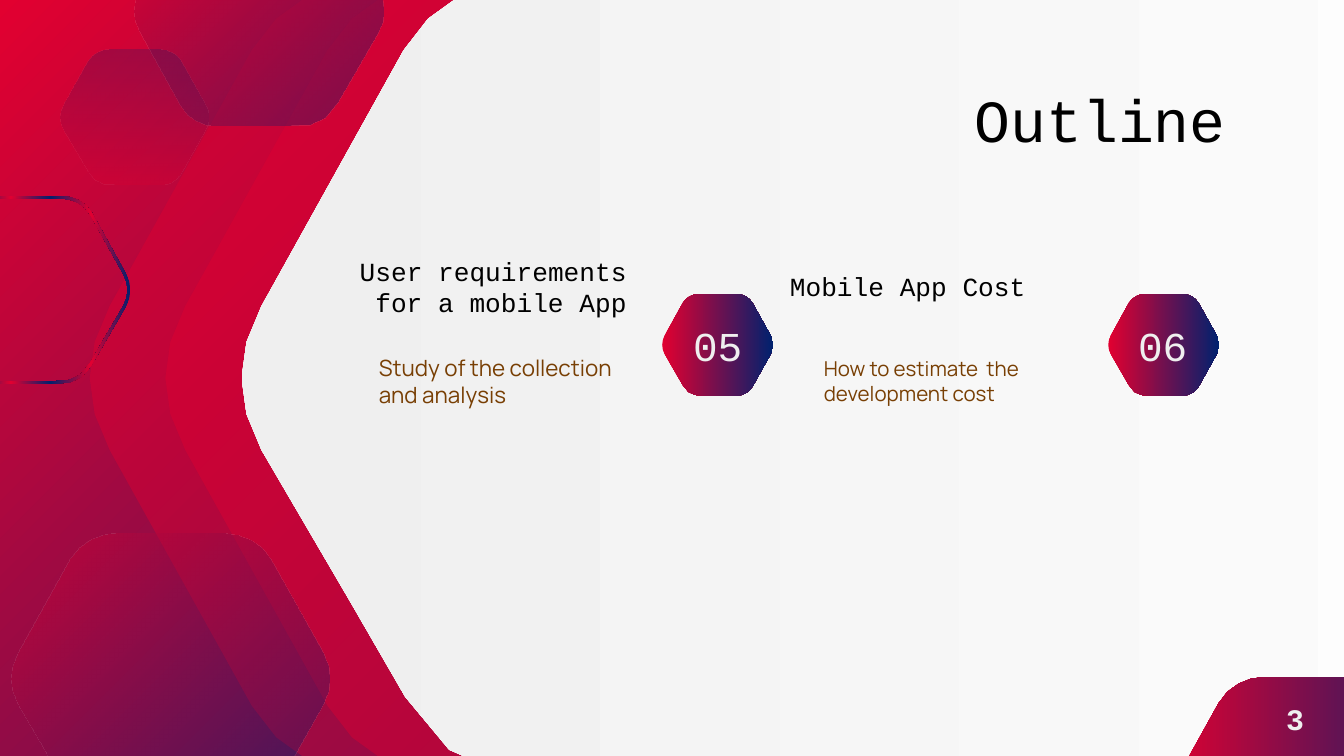
from lxml.etree import SubElement
from pptx import Presentation
from pptx.dml.color import RGBColor
from pptx.enum.text import MSO_ANCHOR, PP_ALIGN
from pptx.oxml import parse_xml
from pptx.oxml.ns import nsdecls, qn
from pptx.util import Cm, Pt

COLORS = {"red": "E20030", "navy": "00216E", "white": "FFFFFF",
          "pale": "EFEFEF", "black": "000000", "brown": "783F04"}
MONO, SANS = "Courier New", "Manrope"
LEFT, MID, RIGHT = PP_ALIGN.LEFT, PP_ALIGN.CENTER, PP_ALIGN.RIGHT
RATIO = 0.9
START = (0.33, 0)
CURVES = [
    [(0.67, 0)],
    [(0.72, 0), (0.78, 0.03), (0.81, 0.09)],
    [(0.97, 0.41)],
    [(1, 0.47), (1, 0.53), (0.97, 0.59)],
    [(0.81, 0.91)],
    [(0.78, 0.97), (0.72, 1), (0.67, 1)],
    [(0.39, 1)],
    [(0.24, 1), (0.23, 0.98), (0.13, 0.78)],
    [(0.03, 0.59)],
    [(0, 0.53), (0, 0.47), (0.03, 0.41)],
    [(0.19, 0.09)],
    [(0.22, 0.03), (0.28, 0), START],
]


def bend(a, b, c, d, t):
    u = 1 - t
    return u**3 * a + 3 * u * u * t * b + 3 * u * t * t * c + t**3 * d


def trace(steps=4):
    dots = [START]
    for curve in CURVES:
        if len(curve) == 3:
            ends = list(zip(dots[-1], *curve))
            dots += [tuple(bend(*axis, n / steps) for axis in ends)
                     for n in range(1, steps)]
        dots.append(curve[-1])
    return dots[:-1]


def place(left, top, width, flip=False, extra=0):
    return [(Cm(left + width * (1 - x if flip else x) + (extra if x > 0.5 else 0)),
             Cm(top + width * RATIO * y)) for x, y in trace()]


def paint(root, stops, angle=0):
    tints = []
    for pos, name, *alpha in stops:
        veil = f'<a:alpha val="{alpha[0] * 1000}"/>' if alpha else ""
        tints.append((pos, f'<a:srgbClr val="{COLORS[name]}">{veil}</a:srgbClr>'))
    if len(tints) == 1:
        xml = f'<a:solidFill {nsdecls("a")}>{tints[0][1]}</a:solidFill>'
    else:
        marks = "".join(f'<a:gs pos="{pos * 1000}">{tint}</a:gs>' for pos, tint in tints)
        xml = (f'<a:gradFill {nsdecls("a")} rotWithShape="1"><a:gsLst>{marks}</a:gsLst>'
               f'<a:lin ang="{angle * 60000}" scaled="0"/></a:gradFill>')
    old = root.find(qn("a:solidFill"))
    root.replace(old, parse_xml(xml))


def add_hex(slide, left, top, width, stops, angle=0, flip=False, extra=0, rim=0):
    dots = place(left, top, width, flip, extra)
    pen = slide.shapes.build_freeform(*dots[0], scale=1.0)
    pen.add_line_segments(dots[1:], close=True)
    if rim:
        hole = place(left + rim, top + rim * RATIO, width - 2 * rim, flip)
        pen.move_to(*hole[0])
        pen.add_line_segments(hole[1:], close=True)
    shape = pen.convert_to_shape()
    shape.shadow.inherit = False
    shape.line.fill.background()
    shape.fill.solid()
    paint(shape.element.spPr, stops, angle)


def add_text(slide, box, words, size, color, font=MONO, align=LEFT, bold=False):
    frame = slide.shapes.add_textbox(*map(Cm, box)).text_frame
    frame.word_wrap = True
    frame.vertical_anchor = MSO_ANCHOR.MIDDLE
    frame.margin_left = frame.margin_right = Cm(0.25)
    frame.margin_top = frame.margin_bottom = Cm(0.25)
    para = frame.paragraphs[0]
    para.alignment = align
    run = para.add_run()
    run.text = words
    run.font.name = font
    run.font.size = Pt(size)
    run.font.bold = bold
    run.font.color.rgb = RGBColor.from_string(COLORS[color])
    for tag in ("a:ea", "a:cs"):
        SubElement(run.font._element, qn(tag)).set("typeface", font)


def add_decor(slide):
    blend = [(0, "red"), (100, "navy")]
    for left in (1.57, 3):
        add_hex(slide, left, -0.41, 16.79, [(0, "red", 41)], flip=True)
    add_hex(slide, 4.44, -0.41, 16.79, [(0, "white"), (100, "pale")], 180, extra=10.59)
    add_hex(slide, 2.51, -1.93, 4.78, [(0, "red", 41), (100, "navy", 40)], 45, flip=True)
    add_hex(slide, 0.18, 10.08, 6.1, [(0, "red", 43), (100, "navy", 40)], 45)
    add_hex(slide, 1.12, 0.94, 2.84, [(0, "navy", 22), (100, "red", 23)], 90)
    bands = [(pos, ("navy", "red")[n % 2])
             for n, pos in enumerate((0, 19, 39, 58, 78, 100))]
    add_hex(slide, -1.45, 3.71, 3.94, bands, 180, flip=True, rim=0.05)
    add_hex(slide, 21.87, 12.8, 6.1, blend)
    for left in (12.5, 20.93):
        add_hex(slide, left, 5.56, 2.13, blend)


def main():
    deck = Presentation()
    deck.slide_width, deck.slide_height = Cm(25.4), Cm(14.29)
    slide = deck.slides.add_slide(deck.slide_layouts[6])
    slide.background.fill.solid()
    paint(slide.element.find(".//" + qn("p:bgPr")), [(0, "red"), (100, "navy")], 45)
    add_decor(slide)
    add_text(slide, (6.53, 1.5, 16.89, 1.5), "Outline", 32, "black", align=RIGHT)
    for left, label in ((12.65, "05"), (21.06, "06")):
        add_text(slide, (left, 5.99, 1.83, 1.07), label, 22, "pale", align=MID)
    add_text(slide, (6.38, 4.88, 5.72, 1.07), "User requirements for a mobile App",
             14, "black", align=RIGHT)
    add_text(slide, (14.68, 4.88, 6.93, 1.07), "Mobile App Cost", 14, "black")
    add_text(slide, (6.91, 6.25, 5.59, 1.9), "Study of the collection and analysis",
             12, "brown", SANS)
    add_text(slide, (15.32, 6.25, 5.18, 1.9), "How to estimate  the development cost",
             11, "brown", SANS)
    add_text(slide, (23.55, 12.8, 1.85, 1.57), "3", 16, "pale", align=MID, bold=True)
    deck.save("out.pptx")


if __name__ == "__main__":
    main()
